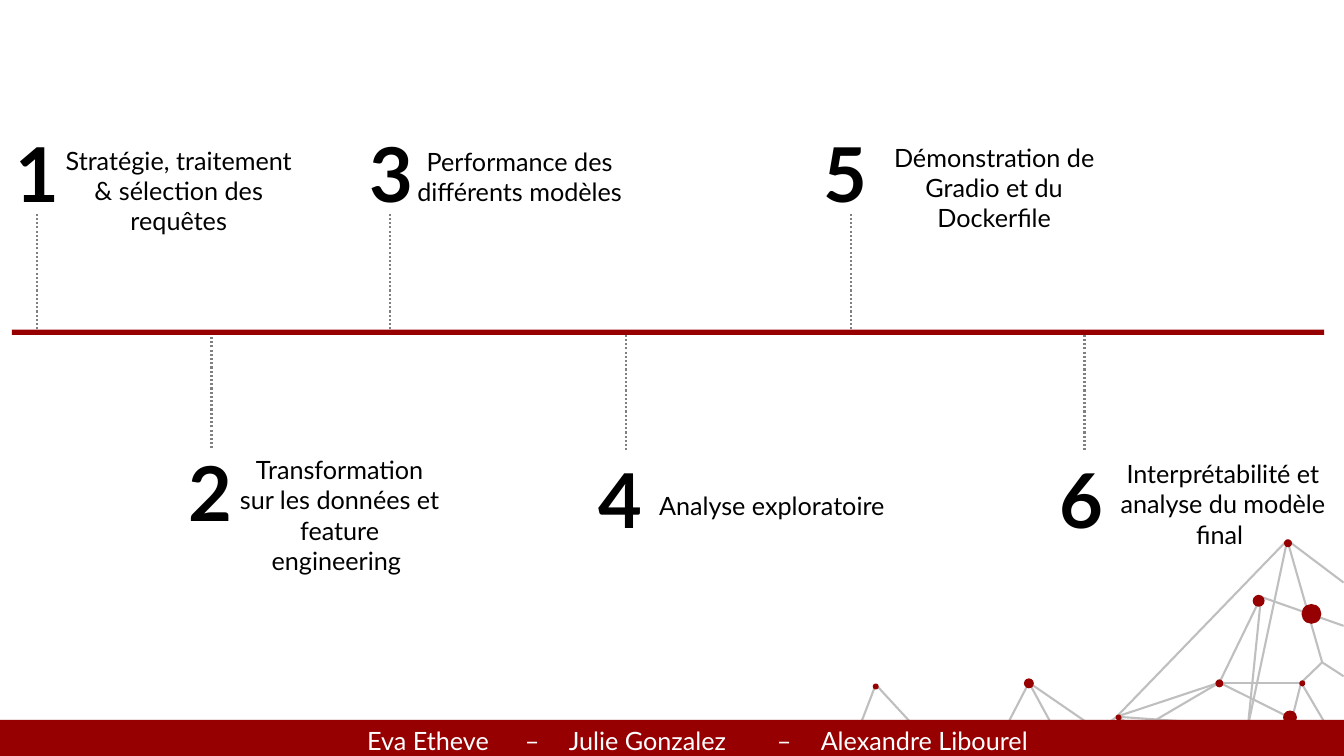
"""Build the six-step agenda timeline slide."""
import pptx
import pptx.dml.color
import pptx.enum.dml
import pptx.enum.shapes
import pptx.enum.text
import pptx.oxml.ns
import pptx.util
from lxml import etree

Cm = pptx.util.Cm
Pt = pptx.util.Pt
Kind = pptx.enum.shapes.MSO_SHAPE
Align = pptx.enum.text.PP_ALIGN
COLORS = {"red": "960000", "net": "BFBFBF", "stem": "808080",
          "ink": "000000", "white": "FFFFFF"}
BODY = {"name": "Lato", "size": Pt(18)}
DIGIT = {"name": "Lato", "size": Pt(54), "bold": True}
FRAME = {"word_wrap": True,
         "auto_size": pptx.enum.text.MSO_AUTO_SIZE.SHAPE_TO_FIT_TEXT}

NODES = {
    "a": (32.44, 13.61), "b": (31.78, 15.04), "c": (30.73, 17.2),
    "d": (32.79, 17.2), "e": (33.32, 16.69), "f": (32.56, 18.11),
    "g": (28.14, 18.06), "h": (31.45, 18.29), "i": (25.93, 17.2),
    "j": (22.07, 17.25), "k": (28.14, 18.72), "l": (26.92, 19.02),
    "m": (25.3, 18.42), "n": (23.7, 19.02), "o": (21.62, 18.42),
    "p": (31.78, 19.02), "q": (29.92, 19.02), "r": (33.86, 19.02),
    "s": (33.86, 17.04), "t": (33.86, 15.77), "u": (33.86, 14.68),
}
EDGES = ("rd fd fc dc ed se ea tb bc hb hg cg fp qg ua ga lg ha "
         "kc ki li im jn jo").split()
DOTS = [
    (31.72, 15.14, 0.3), (30.73, 17.22, 0.2), (28.19, 18.08, 0.15),
    (33.05, 15.47, 0.5), (22.07, 17.3, 0.15), (25.93, 17.22, 0.25),
    (32.82, 17.22, 0.15), (32.51, 18.08, 0.35), (32.46, 13.69, 0.2),
]
STEPS = [
    ("Stratégie, traitement & sélection des requêtes",
     (1.37, 3.53, 6.27, 1.8), (0.15, 3.07), (0.94, 5.38)),
    ("Transformation sur les données et feature engineering ",
     (5.74, 11.33, 5.64, 2.57), (4.5, 11.1), (5.33, 8.38)),
    ("Performance des différents modèles",
     (9.73, 3.56, 6.73, 1.8), (9.07, 3.07), (9.83, 5.38)),
    ("Analyse exploratoire",
     (16.36, 12.22, 6.73, 1.02), (14.83, 11.3), (15.77, 8.43)),
    ("Démonstration de Gradio et du Dockerfile",
     (21.69, 3.45, 6.73, 1.8), (20.5, 3.07), (21.44, 5.38)),
    ("Interprétabilité et analyse du modèle final ",
     (27.91, 11.43, 5.82, 2.57), (26.44, 11.3), (27.33, 8.43)),
]


def tint(name):
    return pptx.dml.color.RGBColor.from_string(COLORS[name])


def apply(item, values):
    for key, value in values.items():
        setattr(item, key, value)


def add_line(shapes, start, end, color, dash=None):
    line = shapes.add_connector(pptx.enum.shapes.MSO_CONNECTOR.STRAIGHT,
                                *map(Cm, start + end))
    line.line.color.rgb = tint(color)
    apply(line.line, {"width": Pt(1.5), "dash_style": dash})
    etree.SubElement(line._element.spPr, pptx.oxml.ns.qn("a:effectLst"))


def add_solid(shapes, kind, box, color="red"):
    solid = shapes.add_shape(kind, *map(Cm, box))
    solid.shadow.inherit = False
    solid.fill.solid()
    solid.fill.fore_color.rgb = tint(color)
    solid.line.fill.background()


def add_text(shapes, text, box, font, align, color="ink"):
    frame = shapes.add_textbox(*map(Cm, box)).text_frame
    apply(frame, FRAME)
    para = frame.paragraphs[0]
    para.alignment = align
    run = para.add_run()
    run.text = text
    apply(run.font, font)
    run.font.color.rgb = tint(color)


def add_net(shapes):
    group = shapes.add_group_shape().shapes
    for start, end in EDGES:
        add_line(group, NODES[start], NODES[end], "net")
    for x, y, size in DOTS:
        add_solid(group, Kind.OVAL, (x - size / 2, y - size / 2, size, size))


def add_step(shapes, num, text, box, spot, stem):
    x, y = stem
    add_line(shapes, (x, y + 2.92), stem, "stem",
             pptx.enum.dml.MSO_LINE.ROUND_DOT)
    align = Align.JUSTIFY if num == 4 else Align.CENTER
    add_text(shapes, text, box, BODY, align)
    add_text(shapes, str(num), spot + (3.28, 2.57), DIGIT, Align.LEFT)


def main():
    deck = pptx.Presentation()
    apply(deck, {"slide_width": Cm(33.87), "slide_height": Cm(19.05)})
    shapes = deck.slides.add_slide(deck.slide_layouts[6]).shapes
    add_net(shapes)
    add_solid(shapes, Kind.RECTANGLE, (0, 18.14, 33.87, 0.91))
    add_text(shapes, "Eva Etheve\t – \tJulie Gonzalez\t – \tAlexandre Libourel ",
             (6.93, 18.14, 21.46, 1.02), BODY, Align.CENTER, "white")
    for num, step in enumerate(STEPS, 1):
        add_step(shapes, num, *step)
    add_solid(shapes, Kind.RECTANGLE, (0.3, 8.31, 33.07, 0.13))
    deck.save("out.pptx")


if __name__ == "__main__":
    main()
